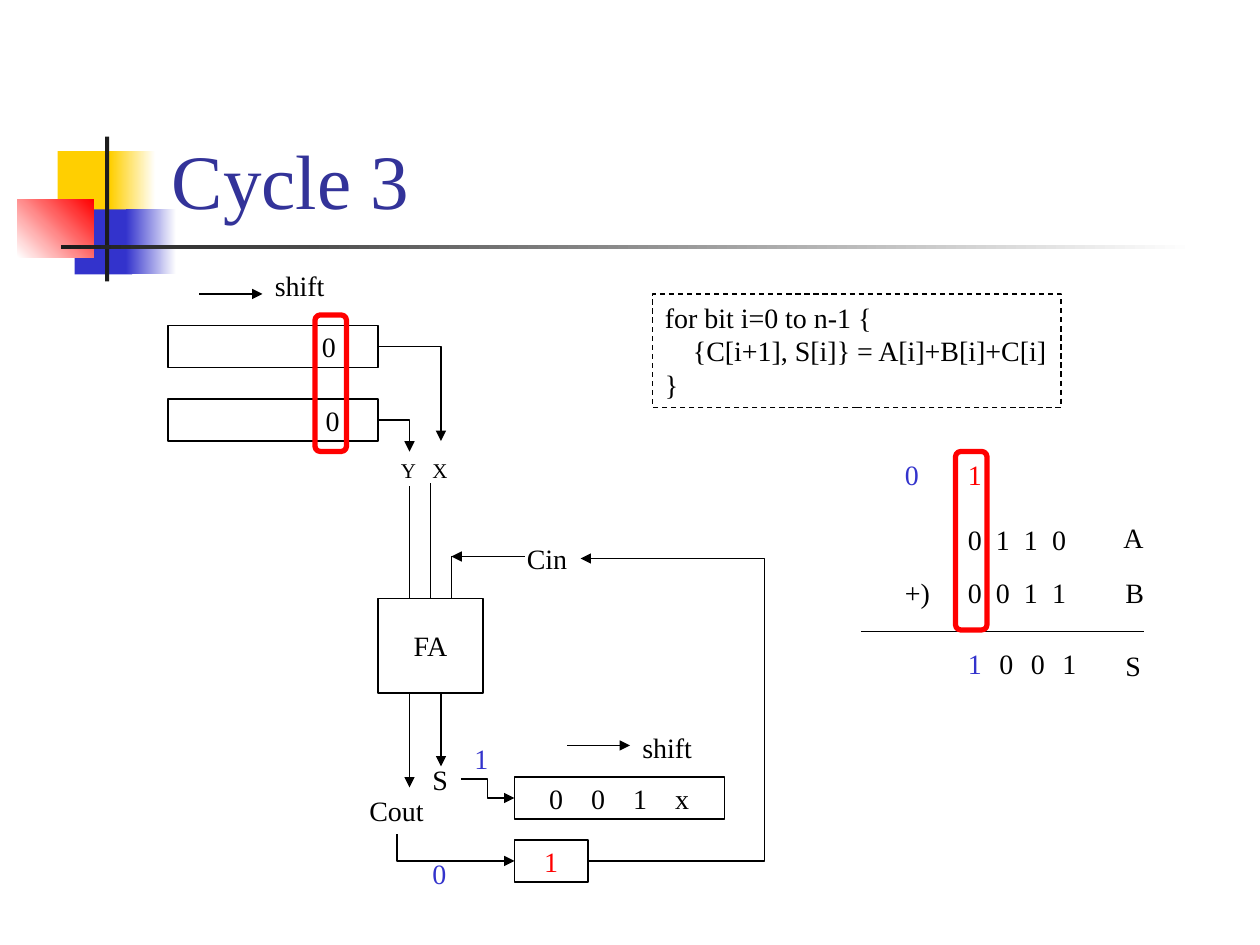
"""Build the "Cycle 3" slide: a bit-serial adder beside its worked sum."""
from dataclasses import dataclass

from lxml import etree
from pptx import Presentation
from pptx.dml.color import RGBColor
from pptx.enum.dml import MSO_LINE
from pptx.enum.shapes import MSO_CONNECTOR, MSO_SHAPE
from pptx.enum.text import MSO_ANCHOR, MSO_AUTO_SIZE, PP_ALIGN
from pptx.oxml.ns import qn
from pptx.util import Inches, Pt

RECTANGLE, ROUNDED = MSO_SHAPE.RECTANGLE, MSO_SHAPE.ROUNDED_RECTANGLE
STRAIGHT, ELBOW = MSO_CONNECTOR.STRAIGHT, MSO_CONNECTOR.ELBOW
TOP, MIDDLE, BOTTOM = MSO_ANCHOR.TOP, MSO_ANCHOR.MIDDLE, MSO_ANCHOR.BOTTOM
LEFT, CENTER = PP_ALIGN.LEFT, PP_ALIGN.CENTER
FIXED, GROW = MSO_AUTO_SIZE.NONE, MSO_AUTO_SIZE.SHAPE_TO_FIT_TEXT
DASH = MSO_LINE.DASH

COLUMNS, ROWS, CELLS_PER_INCH = 120, 90, 12
FONT = "Times New Roman"
COLORS = {
    "black": "000000", "white": "FFFFFF", "red": "FF0000", "blue": "3333CC",
    "yellow": "FFCF01", "charcoal": "1C1C1C", "title": "333399",
}


@dataclass(frozen=True)
class Block:
    """A decorative rectangle, fading between two colours if both are given."""
    column: float
    row: float
    columns: float
    rows: float
    color: str
    fade_to: str = ""
    angle: float = 0


@dataclass(frozen=True)
class Label:
    """Free text, with tab stops every so many columns when tab is set."""
    text: str
    column: float
    row: float
    columns: float
    color: str = "black"
    size: float = 16
    rows: float = 4.4
    tab: float = 0
    wrap: bool = False
    anchor: MSO_ANCHOR = TOP


@dataclass(frozen=True)
class Box:
    """An outlined rectangle whose text is centred or starts at an inset."""
    text: str
    column: float
    row: float
    columns: float
    rows: float
    color: str = "black"
    inset: float = 0
    tab: float = 0


@dataclass(frozen=True)
class Wire:
    """A line between two grid points, straight or bent."""
    start: tuple[float, float]
    end: tuple[float, float]
    arrow: bool = True
    bend: str = ""
    adjust: float = 0.5


BLOCKS = [
    Block(5.5, 14.4, 5.8, 6.2, "yellow"),
    Block(10.5, 14.4, 4.3, 6.2, "yellow", "white"),
    Block(7.1, 19.95, 5.5, 6.2, "blue"),
    Block(12, 19.95, 4.8, 6.2, "blue", "white"),
    Block(1.65, 19, 7.3, 5.5, "white", "red", 45),
    Block(10, 13, 0.4, 13.8, "charcoal"),
    Block(5.8, 23.35, 108, 0.4, "charcoal", "white"),
]
DIGIT, PAIR = 3.75, 2.67
LABELS = [
    Label("Cycle 3", 15.2, 2.8, 102.2, "title", 44, 19.2, wrap=True, anchor=BOTTOM),
    Label("0\t1\t1\t0", 91, 49.2, 11.7, tab=PAIR, wrap=True),
    Label("0\t0\t1\t1", 91, 54.25, 11.7, tab=PAIR, wrap=True),
    Label("+)", 85, 54.25, 4.85),
    Label("A", 105.8, 49, 4.35),
    Label("B", 106, 54.25, 4.2),
    Label("S", 106, 61.2, 3.9),
    Label("X", 40, 43, 3.9, size=12, rows=3.6),
    Label("Y", 37, 43, 3.9, size=12, rows=3.6),
    Label("S", 40, 72, 3.9),
    Label("Cin", 49, 51, 6.4),
    Label("Cout", 34, 75, 7.8),
    Label("shift", 25, 25, 7.2),
    Label("shift", 60, 69, 7.2),
    Label("0", 85, 43, DIGIT, "blue"),
    Label("1", 91, 43, DIGIT, "red"),
    Label("0", 40, 81, DIGIT, "blue"),
    Label("1", 44, 70, DIGIT, "blue"),
] + [
    Label(bit, 91 + 3 * place, 61, DIGIT, "black" if place else "blue")
    for place, bit in enumerate("1001")
]
BOXES = [
    Box("FA", 36, 57, 10, 9),
    Box("0", 16, 31, 20, 4, inset=14.65),
    Box("0", 16, 38, 20, 4, inset=15),
    Box("0\t0\t1\tx", 49, 74, 20, 4, inset=3.3, tab=4),
    Box("1", 49, 80, 7, 4, "red"),
]
WIRES = [
    Wire((82, 60.15), (109, 60.15), arrow=False),
    Wire((39, 57), (39, 46.3), arrow=False),
    Wire((41, 57), (41, 46), arrow=False),
    Wire((43, 57), (43, 53), arrow=False),
    Wire((39, 66), (39, 75)),
    Wire((42, 66), (42, 73)),
    Wire((50, 53), (43, 53)),
    Wire((19, 28), (25, 28)),
    Wire((54, 71), (60, 71)),
    Wire((36, 33), (42, 42), bend="across"),
    Wire((36, 40), (39, 43), bend="across"),
    Wire((43.9, 74.2), (49, 76), bend="step"),
    Wire((37.8, 79.45), (49, 82), bend="down"),
    Wire((56, 82), (55.3, 53.2), bend="step", adjust=-24.1),
]
FRAMES = [(91, 43, 3, 17), (30, 30, 3, 13)]
LOOP = ["for bit i=0 to n-1 {", "{C[i+1], S[i]} = A[i]+B[i]+C[i]", "}"]


def grid(*cells: float) -> list[int]:
    """Turn grid cells into lengths."""
    return [Inches(cell / CELLS_PER_INCH) for cell in cells]


def rgb(name: str) -> RGBColor:
    """Look up a named colour."""
    return RGBColor.from_string(COLORS[name])


def write(shape, text: str, color: str = "black", size: float = 16, tab: float = 0,
          align: PP_ALIGN = LEFT, anchor: MSO_ANCHOR = TOP, wrap: bool = True) -> None:
    """Put formatted text into a shape."""
    frame = shape.text_frame
    frame.text = text
    frame.word_wrap = wrap
    frame.auto_size = FIXED if wrap else GROW
    frame.vertical_anchor = anchor
    for para in frame.paragraphs:
        para.alignment = align
        if tab:
            stops = etree.SubElement(para._p.get_or_add_pPr(), qn("a:tabLst"))
            for number in range(1, text.count("\t") + 1):
                position = str(grid(tab * number)[0])
                etree.SubElement(stops, qn("a:tab"), pos=position, algn="l")
        for span in para.runs:
            span.font.name, span.font.size = FONT, Pt(size)
            span.font.color.rgb = rgb(color)


def add_outline(page, kind: MSO_SHAPE, cells: tuple, color: str, width: float):
    """Add an unfilled, outlined shape."""
    shape = page.shapes.add_shape(kind, *grid(*cells))
    shape.shadow.inherit = False
    shape.fill.background()
    shape.line.color.rgb, shape.line.width = rgb(color), Pt(width)
    return shape


def add_block(page, block: Block) -> None:
    """Draw one decorative rectangle."""
    shape = page.shapes.add_shape(
        RECTANGLE, *grid(block.column, block.row, block.columns, block.rows))
    shape.shadow.inherit = False
    shape.line.fill.background()
    if block.fade_to:
        shape.fill.gradient()
        shape.fill.gradient_angle = block.angle
        for stop, name in zip(shape.fill.gradient_stops, (block.color, block.fade_to)):
            stop.color.rgb = rgb(name)
    else:
        shape.fill.solid()
        shape.fill.fore_color.rgb = rgb(block.color)


def add_label(page, label: Label) -> None:
    """Draw one free text."""
    box = page.shapes.add_textbox(
        *grid(label.column, label.row, label.columns, label.rows))
    write(box, label.text, label.color, label.size, label.tab,
          anchor=label.anchor, wrap=label.wrap)


def add_box(page, box: Box) -> None:
    """Draw one register or adder box."""
    shape = add_outline(
        page, RECTANGLE, (box.column, box.row, box.columns, box.rows), "black", 0.75)
    write(shape, box.text, box.color, tab=box.tab,
          align=LEFT if box.inset else CENTER, anchor=MIDDLE)
    if box.inset:
        shape.text_frame.margin_left = grid(box.inset)[0]


def add_wire(page, wire: Wire) -> None:
    """Draw one line; a bend going down first is a turned and flipped corner."""
    (left, top), (right, bottom) = wire.start, wire.end
    if wire.bend == "down":
        middle, center = (left + right) / 2, (top + bottom) / 2
        half_width, half_height = (bottom - top) / 2, (right - left) / 2
        left, right = middle + half_width, middle - half_width
        top, bottom = center - half_height, center + half_height
    line = page.shapes.add_connector(
        ELBOW if wire.bend else STRAIGHT, *grid(left, top, right, bottom))
    line.line.color.rgb, line.line.width = rgb("black"), Pt(0.75)
    properties = line._element.spPr
    geometry = properties.find(qn("a:prstGeom"))
    if wire.bend == "step":
        guides = geometry.find(qn("a:avLst"))
        etree.SubElement(guides, qn("a:gd"), name="adj1",
                         fmla=f"val {round(wire.adjust * 100000)}")
    elif wire.bend:
        geometry.set("prst", "bentConnector2")
    if wire.bend == "down":
        properties.find(qn("a:xfrm")).set("rot", str(270 * 60000))
    if wire.arrow:
        etree.SubElement(properties.find(qn("a:ln")), qn("a:tailEnd"), type="triangle")
    etree.SubElement(properties, qn("a:effectLst"))


def add_loop(page) -> None:
    """Draw the dashed box with the adder's loop."""
    shape = add_outline(page, RECTANGLE, (62.15, 28, 38.9, 10.8), "black", 0.75)
    shape.line.dash_style = DASH
    write(shape, "\n".join(LOOP))
    body = shape.text_frame.paragraphs[1]
    body._p.get_or_add_pPr().set("marL", str(grid(PAIR)[0]))


def main() -> None:
    """Build and save the deck."""
    deck = Presentation()
    deck.slide_width, deck.slide_height = grid(COLUMNS, ROWS)
    page = deck.slides.add_slide(deck.slide_layouts[6])
    for draw, items in ((add_block, BLOCKS), (add_label, LABELS),
                        (add_box, BOXES), (add_wire, WIRES)):
        for item in items:
            draw(page, item)
    add_loop(page)
    for cells in FRAMES:
        add_outline(page, ROUNDED, cells, "red", 3).adjustments[0] = 0.17
    deck.save("out.pptx")


if __name__ == "__main__":
    main()
